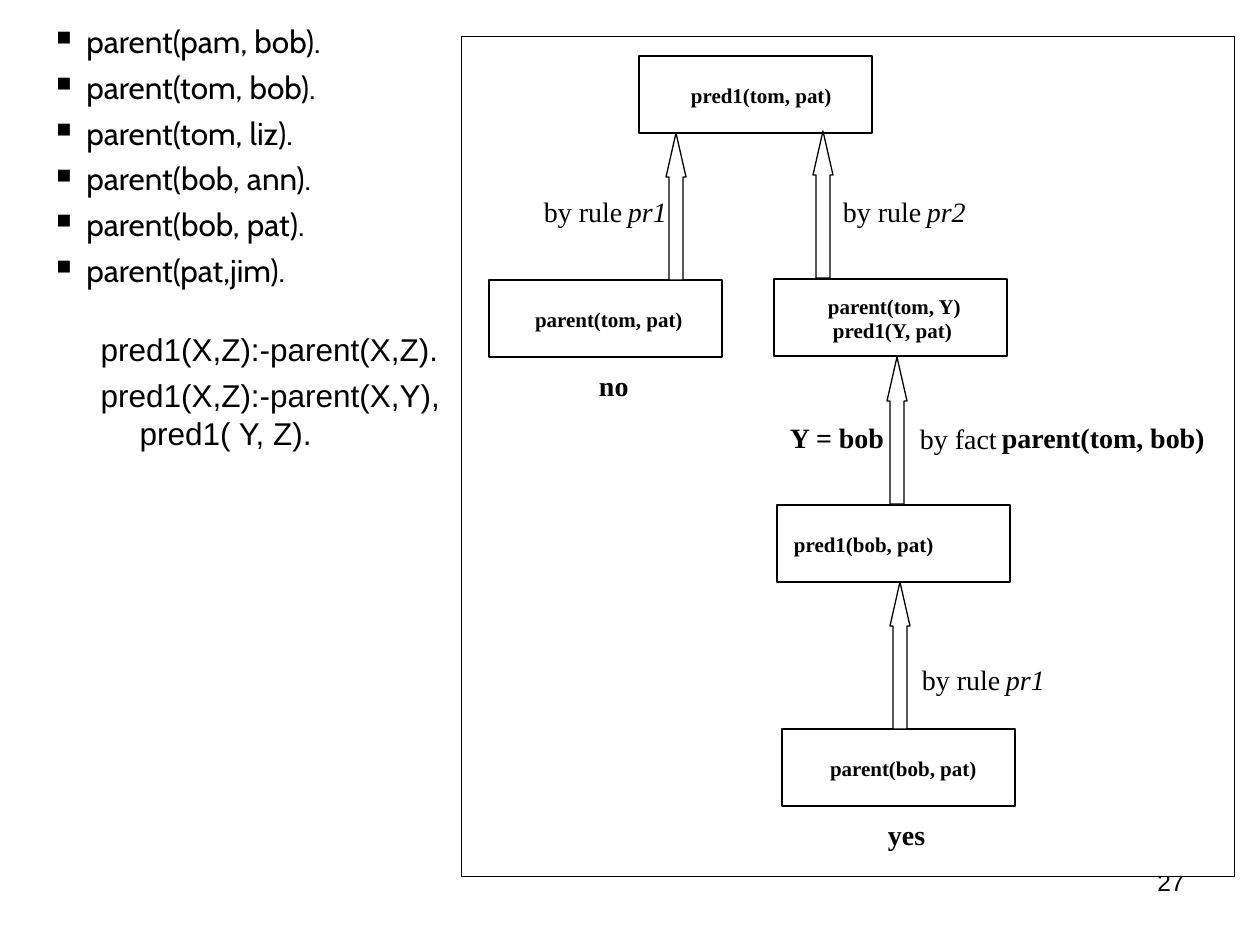
"""Build the slide that traces the Prolog query pred1(tom, pat)."""
from lxml.etree import SubElement as Sub
from pptx import Presentation
from pptx.dml.color import RGBColor
from pptx.enum.shapes import MSO_SHAPE as Kind
from pptx.enum.text import MSO_AUTO_SIZE as Fit, PP_ALIGN as Align
from pptx.oxml.ns import qn
from pptx.util import Pt

PX = 914400 / 126
ROMAN = "Times New Roman"


def hue(code):
    return RGBColor.from_string(code)


def write(frame, lines, size, face, bold=False, slant=False, marks=None):
    frame.auto_size = Fit.NONE
    for i, line in enumerate(lines):
        para = frame.paragraphs[0] if i == 0 else frame.add_paragraph()
        para.text = line
        para.space_before = Pt(4.5 if i else 0)
        if marks:
            left, hang, char = marks
            props = para._p.get_or_add_pPr()
            props.set("marL", str(int(left * PX)))
            props.set("indent", str(int(-hang * PX)))
            if char:
                tint = Sub(props, qn("a:buClr"))
                Sub(tint, qn("a:srgbClr"), val="000000")
                Sub(props, qn("a:buSzPct"), val="65000")
                Sub(props, qn("a:buChar"), char=char)
            else:
                Sub(props, qn("a:buNone"))
        font = para.font
        font.size, font.name = Pt(size), face
        font.bold, font.italic = bold, slant
        font.color.rgb = hue("000000")


deck = Presentation()
deck.slide_width, deck.slide_height = int(1260 * PX), int(945 * PX)
slide = deck.slides.add_slide(deck.slide_layouts[1])
shapes = slide.shapes
title = shapes.title._element
title.getparent().remove(title)

num = shapes.add_textbox(*[int(v * PX) for v in (903, 861, 294, 66)])
write(num.text_frame, ["27"], 14, "Arial")
num.text_frame.paragraphs[0].alignment = Align.RIGHT

rules = slide.placeholders[1]
rules.left, rules.top, rules.width, rules.height = [
    int(v * PX) for v in (25, 324, 505, 228)]
write(rules.text_frame,
      ["pred1(X,Z):-parent(X,Z).", "pred1(X,Z):-parent(X,Y), pred1( Y, Z)."],
      18, "Arial", marks=(102, 39, ""))
for para in rules.text_frame.paragraphs:
    para.alignment = Align.JUSTIFY

facts = shapes.add_textbox(*[int(v * PX) for v in (44, 16, 630, 280)])
facts.text_frame.word_wrap = True
pairs = ["pam, bob", "tom, bob", "tom, liz", "bob, ann", "bob, pat", "pat,jim"]
write(facts.text_frame, [f"parent({pair})." for pair in pairs], 18, "Cabin",
      marks=(30, 30, "■"))

boxes = [(461, 36, 773, 840)]
boxes += [(x, y, 233, 77) for x, y in
          [(639, 56), (489, 280), (774, 279), (777, 505), (782, 729)]]
drawn = [shapes.add_shape(Kind.RECTANGLE, *[int(v * PX) for v in box])
         for box in boxes]
frame = drawn[0]

outline = [(3, 147), (3, 44), (0, 44), (10, 0), (20, 44), (17, 44), (17, 147)]
for x, y in [(666, 133), (813, 131), (887, 357), (890, 582)]:
    spots = [(x + dx, y + dy) for dx, dy in outline]
    pen = shapes.build_freeform(*spots[0], scale=PX)
    pen.add_line_segments(spots[1:], close=True)
    drawn.append(pen.convert_to_shape())

for item in drawn:
    item.shadow.inherit = False
    item.fill.solid()
    item.fill.fore_color.rgb = hue("FFFFFF")
    item.line.color.rgb = hue("000000")
    item.line.width = Pt(0.11 if item is frame else 0.75)

labels = [
    ("pred1(tom, pat)", 691, 83, 141, 12, True, False),
    ("parent(tom, pat)", 535, 307, 148, 12, True, False),
    ("parent(tom, Y)", 828, 294, 134, 12, True, False),
    ("pred1(Y, pat)", 833, 318, 120, 12, True, False),
    ("pred1(bob, pat)", 794, 532, 140, 12, True, False),
    ("parent(bob, pat)", 830, 756, 147, 12, True, False),
    ("no", 599, 369, 30, 16, True, False),
    ("yes", 888, 818, 38, 16, True, False),
    ("Y = bob", 790, 421, 95, 16, True, False),
    ("by fact", 920, 422, 77, 16, False, False),
    ("parent(tom, bob)", 1002, 421, 203, 16, True, False),
]
for x, y, rule in [(544, 195, "pr1"), (843, 195, "pr2"), (922, 663, "pr1")]:
    labels += [("by rule", x, y, 78, 16, False, False),
               (rule, x + 84, y, 39, 16, False, True)]

for text, x, y, width, size, bold, slant in labels:
    box = shapes.add_textbox(*[int(v * PX) for v in (x, y, width, size * 2)])
    area = box.text_frame
    area.margin_left = area.margin_right = 0
    area.margin_top = area.margin_bottom = 0
    area.word_wrap = False
    write(area, [text], size, ROMAN, bold, slant)

deck.save("out.pptx")
